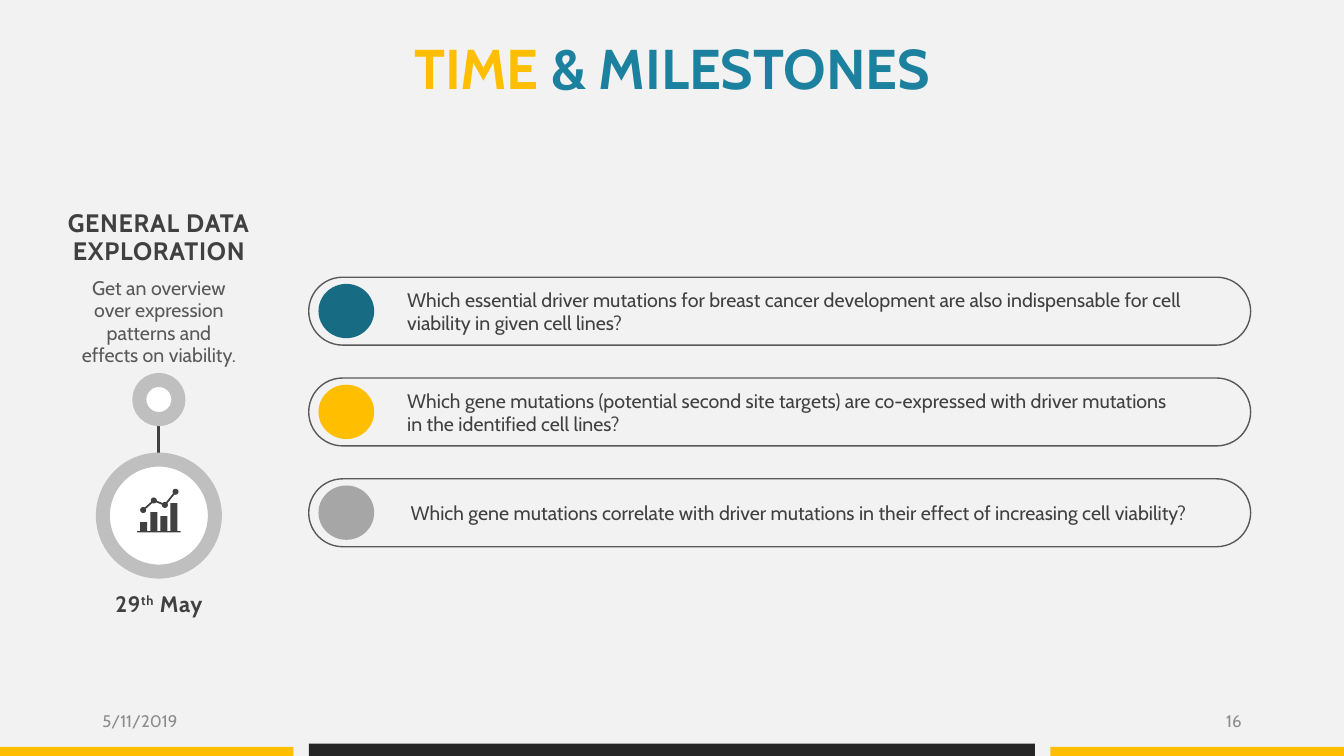
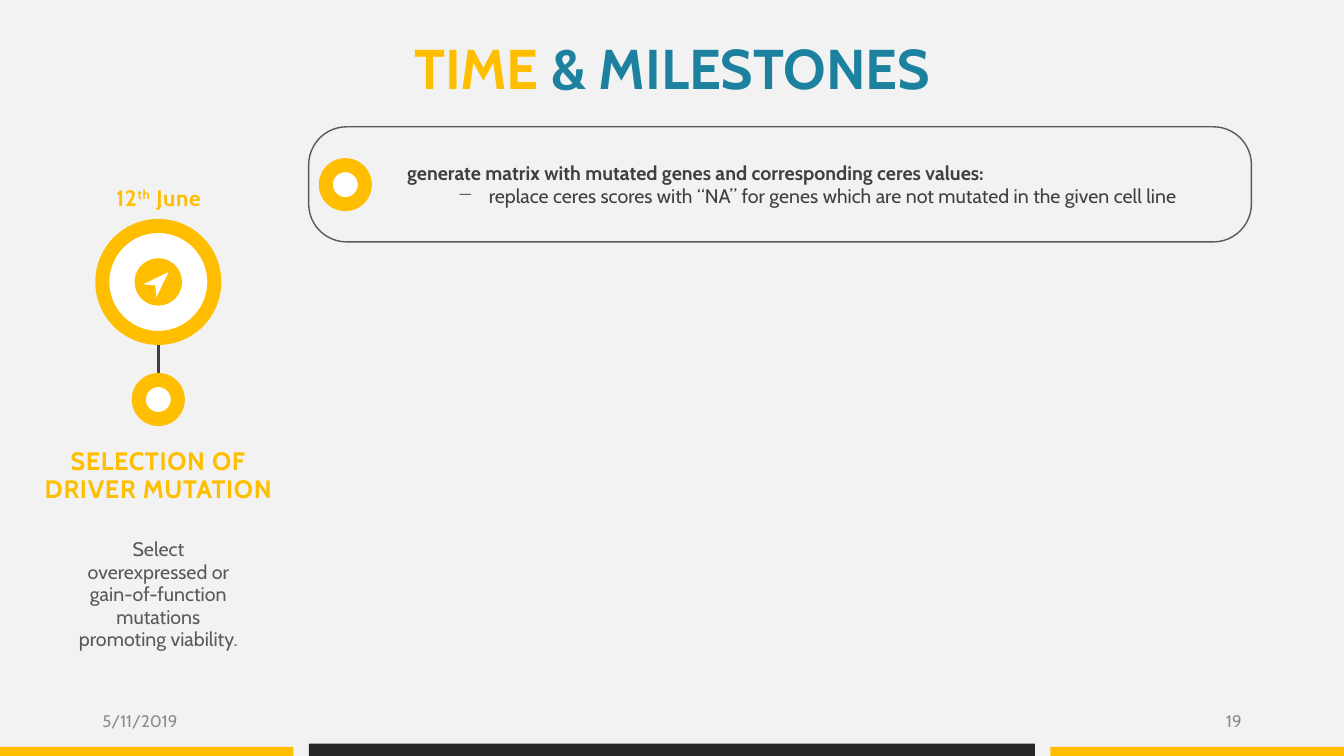
from itertools import pairwise

from lxml import etree
from pptx import Presentation
from pptx.dml.color import RGBColor
from pptx.enum import shapes, text
from pptx.oxml import ns
from pptx.util import Pt

PAPER = RGBColor(0xF2, 0xF2, 0xF2)
WHITE = RGBColor(0xFF, 0xFF, 0xFF)
GOLD = RGBColor(0xFF, 0xBE, 0x00)
BLUE = RGBColor(0x1C, 0x81, 0x9E)
TEAL = RGBColor(0x17, 0x6C, 0x83)
BLACK = RGBColor(0x26, 0x26, 0x26)
DARK = RGBColor(0x40, 0x40, 0x40)
SLATE = RGBColor(0x59, 0x59, 0x59)
MUTED = RGBColor(0x8C, 0x8C, 0x8C)
GRAY = RGBColor(0xA6, 0xA6, 0xA6)
SILVER = RGBColor(0xBF, 0xBF, 0xBF)

FONT = "Cabin"
LEFT, MID, RIGHT = text.PP_ALIGN.LEFT, text.PP_ALIGN.CENTER, text.PP_ALIGN.RIGHT
TOP, HALF = text.MSO_ANCHOR.TOP, text.MSO_ANCHOR.MIDDLE
RECT, OVAL, ROUND = (shapes.MSO_SHAPE.RECTANGLE, shapes.MSO_SHAPE.OVAL,
                     shapes.MSO_SHAPE.ROUNDED_RECTANGLE)


def write(slide, box, *paras, size=14, color=DARK, bold=False, align=LEFT,
          anchor=TOP, lead=None, track=0, pad=0):
    """Each paragraph is a string or a list of (string, changes) runs."""
    frame = slide.shapes.add_textbox(*map(Pt, box)).text_frame
    frame.word_wrap = True
    frame.vertical_anchor = anchor
    frame.margin_left = frame.margin_right = Pt(pad)
    frame.margin_top = frame.margin_bottom = 0
    for i, runs in enumerate(paras):
        para = frame.add_paragraph() if i else frame.paragraphs[0]
        para.alignment = align
        if lead:
            para.line_spacing = Pt(lead)
        for words, diff in [(runs, {})] if isinstance(runs, str) else runs:
            run = para.add_run()
            run.text = words
            font = run.font
            font.name, font.size = FONT, Pt(size)
            font.bold = diff.get("bold", bold)
            font.color.rgb = diff.get("color", color)
            props = run._r.get_or_add_rPr()
            if track:
                props.set("spc", str(int(track * 100)))
            if "rise" in diff:
                props.set("baseline", str(diff["rise"] * 1000))
    return frame


def paint(shape, fill=None, edge=None, width=1):
    shape.shadow.inherit = False
    if fill is None:
        shape.fill.background()
    else:
        shape.fill.solid()
        shape.fill.fore_color.rgb = fill
    if edge is None:
        shape.line.fill.background()
    else:
        shape.line.color.rgb = edge
        shape.line.width = Pt(width)
    return shape


def draw(slide, kind, box, **look):
    return paint(slide.shapes.add_shape(kind, *map(Pt, box)), **look)


def disc(slide, x, y, size, **look):
    """Circle centred on x, y."""
    return draw(slide, OVAL, (x - size / 2, y - size / 2, size, size), **look)


def trace(slide, x, y, dots, fill):
    """Closed outline with points relative to x, y."""
    dots = [(Pt(x + dx), Pt(y + dy)) for dx, dy in dots]
    form = slide.shapes.build_freeform(*dots[0])
    form.add_line_segments(dots[1:])
    paint(form.convert_to_shape(), fill=fill)


def join(slide, start, end, width):
    line = slide.shapes.add_connector(
        shapes.MSO_CONNECTOR.STRAIGHT, *map(Pt, (*start, *end)))
    line.line.color.rgb = DARK
    line.line.width = Pt(width)
    etree.SubElement(line._element.spPr, ns.qn("a:effectLst"))


def graph(slide, x, y):
    """Bar graph icon with a trend line, centred on x, y."""
    base, foot, wide = 11.1, 11.9, 5
    edge = [(-15.5, foot), (-15.5, base)]
    for i, top in enumerate((4.7, -2.5, 0.4, -9)):
        left = -13.3 + 7.2 * i
        edge += [(left, base), (left, top), (left + wide, top), (left + wide, base)]
    trace(slide, x, y, edge + [(15.5, base), (15.5, foot)], DARK)
    dots = [(x + dx, y + dy) for dx, dy in
            ((-11.2, -4), (-3.6, -10.8), (4.3, -7.6), (11.9, -17))]
    for start, end in pairwise(dots):
        join(slide, start, end, 1.25)
    for dot in dots:
        disc(slide, *dot, 4.3, fill=DARK)


def plane(slide, x, y):
    """Paper plane icon in a disc, centred on x, y."""
    disc(slide, x, y, 33.8, fill=GOLD)
    trace(slide, x, y, [(7.2, -7), (-1.4, 11), (-2.2, 2.4), (-10.8, 1.7)], WHITE)


def ring(slide, x, y, size, tone):
    disc(slide, x, y, size, fill=WHITE, edge=tone, width=10)


def stage(slide, box, tone, ink, day, head, note, icon, rows):
    """Milestone column; rows gives the offsets of big ring, day, head, note."""
    left, top, width = box
    big, *tops = rows
    x, small = left + width / 2, 285.4
    hub = top + big
    way = 1 if hub > small else -1
    join(slide, (x, small + 14 * way), (x, hub - 40 * way), 2)
    ring(slide, x, small, 28, tone)
    ring(slide, x, hub, 80, tone)
    icon(slide, x, hub)
    date, month = day
    words = [(date, {}), ("th", {"rise": 30}), (month, {})]
    for para, dy, wide, high, look in (
            (words, tops[0], 74, 19, dict(size=16, lead=20)),
            (head, tops[1], width, 40, dict(size=18, lead=20))):
        write(slide, (x - wide / 2, top + dy, wide, high), para, color=ink,
              bold=True, align=MID, track=0.5, **look)
    write(slide, (x - 59, top + tops[2], 118, 80), note, color=SLATE,
          align=MID, lead=16)


def pill(slide, box, bend):
    draw(slide, ROUND, box, edge=SLATE).adjustments[0] = bend


def ask(slide, box, tone, words, inset):
    """Question in a pill with a coloured dot."""
    x, y, _, high = box
    pill(slide, box, 0.5)
    draw(slide, OVAL, (x + 7, y + 4.8, 39.8, 38.8), fill=tone)
    write(slide, (x + inset, y, 556, high), words, anchor=HALF)


def task(slide, box, head, item):
    """Task with a dashed sub-item in a box with a ring."""
    x, y, _, high = box
    pill(slide, box, 0.33)
    frame = write(slide, (x + 70.4, y, 556, high), [(head, {"bold": True})],
                  item, anchor=HALF)
    props = frame.paragraphs[1]._p.get_or_add_pPr()
    props.set("marL", str(Pt(58.3)))
    props.set("indent", str(-Pt(22.3)))
    etree.SubElement(props, ns.qn("a:buChar"), char="−")
    ring(slide, x + 26.2, y + 41.3, 28, GOLD)


def begin(deck, number):
    """New slide with the shared background, title, bands and footer."""
    slide = deck.slides.add_slide(deck.slide_layouts[6])
    slide.background.fill.solid()
    slide.background.fill.fore_color.rgb = PAPER
    write(slide, (56, 24, 848, 48),
          [("TIME ", {"color": GOLD}), ("& MILESTONES", {})],
          size=40, color=BLUE, bold=True, align=MID)
    for x, wide, high, tone in ((0, 209.6, 6.6, GOLD), (220.6, 518.6, 8.8, BLACK),
                                (750.4, 209.6, 6.6, GOLD)):
        draw(slide, RECT, (x, 540 - high, wide, high), fill=tone)
    for x, words, align in ((66, "5/11/2019", LEFT), (678, number, RIGHT)):
        write(slide, (x, 500.5, 216, 28.8), words, size=12, color=MUTED,
              align=align, anchor=HALF, pad=7.2)
    return slide


def explore(deck):
    slide = begin(deck, "16")
    stage(slide, (28.2, 150, 170.6), SILVER, DARK, ("29", " May"),
          "GENERAL DATA EXPLORATION",
          "Get an overview over expression patterns and effects on viability.",
          graph, (218.3, 270.5, 0, 48))
    asks = (
        (TEAL, "Which essential driver mutations for breast cancer development "
               "are also indispensable for cell viability in given cell lines?", 70.4),
        (GOLD, "Which gene mutations (potential second site targets) are "
               "co-expressed with driver mutations in the identified cell lines?", 70.4),
        (GRAY, "Which gene mutations correlate with driver mutations in their "
               "effect of increasing cell viability?", 72.8))
    for i, (tone, words, inset) in enumerate(asks):
        ask(slide, (220.5, 198 + 72 * i, 672.8, 48.5), tone, words, inset)


def select(deck):
    slide = begin(deck, "19")
    stage(slide, (27.8, 130.4, 170.6), GOLD, GOLD, ("12", " June"),
          "SELECTION OF DRIVER MUTATION",
          "Select overexpressed or gain-of-function mutations promoting viability.",
          plane, (71, 0, 189.4, 254.2))
    task(slide, (220.5, 90.6, 673.4, 82.2),
         "generate matrix with mutated genes and corresponding ceres values:",
         "replace ceres scores with “NA” for genes which are not mutated in "
         "the given cell line")


def main():
    deck = Presentation()
    deck.slide_width, deck.slide_height = Pt(960), Pt(540)
    explore(deck)
    select(deck)
    deck.save("out.pptx")


if __name__ == "__main__":
    main()
